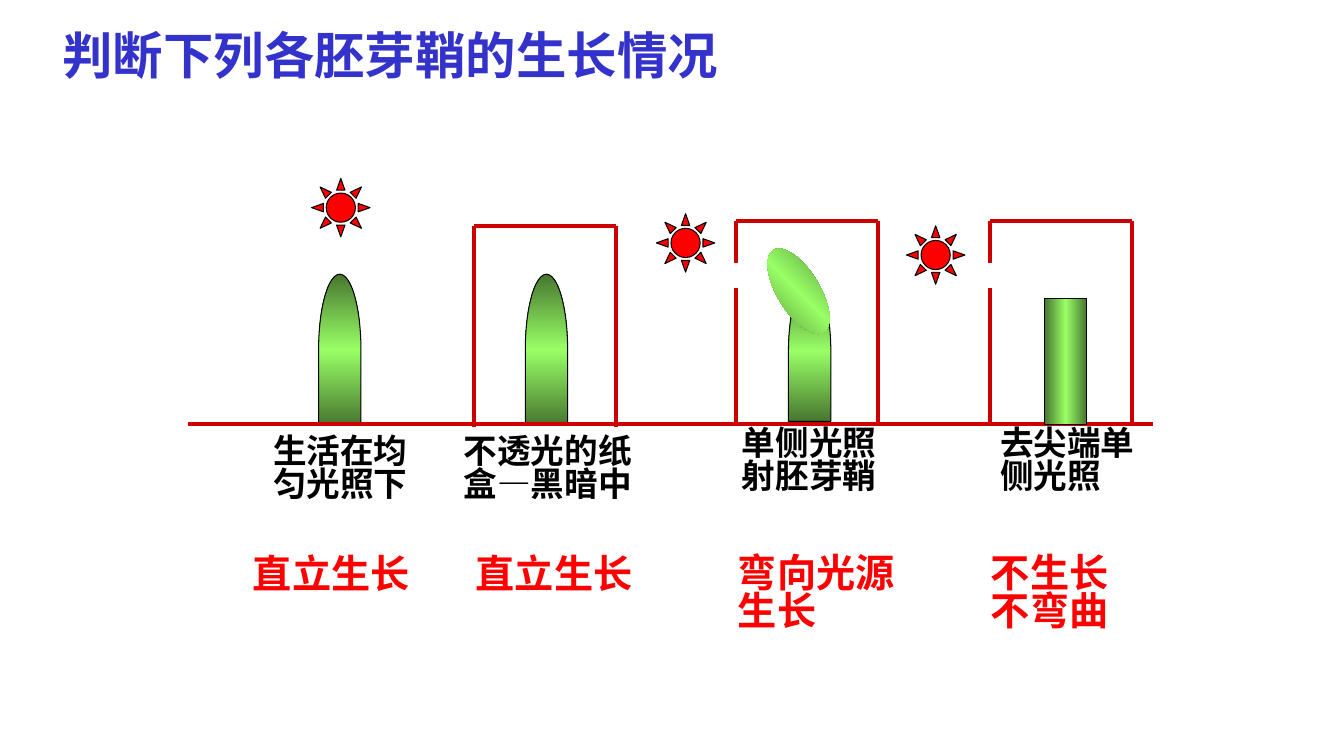
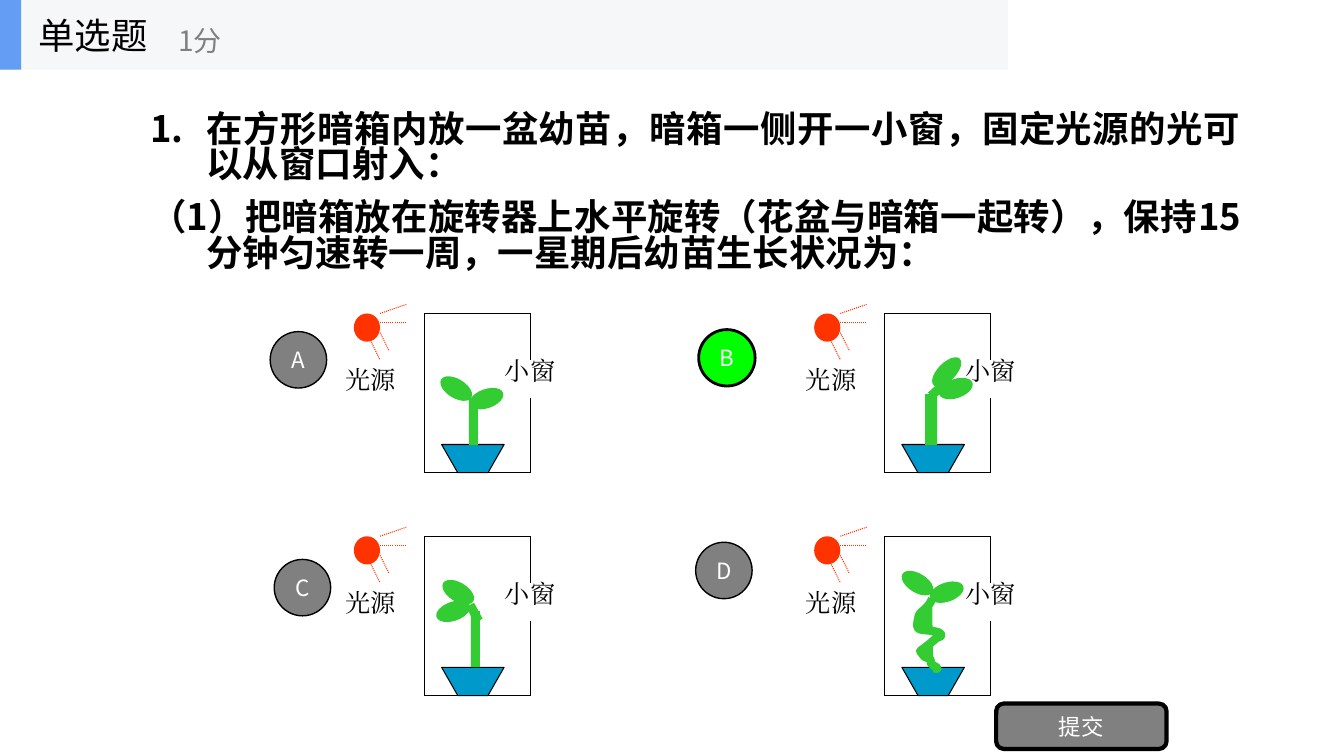
from pptx import Presentation, util as u
from pptx.dml.color import RGBColor
from pptx.enum import dml, shapes, text
from pptx.oxml import parse_xml
from pptx.oxml.ns import nsdecls, qn
from lxml import etree

GRID = u.Inches(0.1)
SANS, SERIF = "Noto Sans CJK SC", "Times New Roman"
BLACK, WHITE, GRAY = "000000", "FFFFFF", "808080"
TITLE_BLUE, RED, FRAME_RED, LAMP = "3333CC", "FF0000", "CC0000", "FF3300"
BAND, ACCENT, POT, LEAF, CORRECT = "F6F7F8", "639EF4", "0099CC", "33CC33", "00FF00"
GREENS = ((0, "47762F"), (50, "99FF66"), (100, "47762F"))
SHAPE = shapes.MSO_SHAPE
ALIGN = text.PP_ALIGN
MIDDLE, TOP = text.MSO_ANCHOR.MIDDLE, text.MSO_ANCHOR.TOP


def color(value):
    return RGBColor.from_string(value)


def cells(*lengths):
    return [round(length * GRID) for length in lengths]


def curve(start, segments, steps=8):
    points = [start]
    for first, second, end in segments:
        origin = points[-1]
        for step in range(1, steps + 1):
            t = step / steps
            weights = ((1 - t) ** 3, 3 * t * (1 - t) ** 2, 3 * t * t * (1 - t), t ** 3)
            corners = (origin, first, second, end)
            points.append(tuple(sum(w * c[axis] for w, c in zip(weights, corners))
                                for axis in (0, 1)))
    return points


def write(frame, content, size=24, ink=BLACK, font=SANS, bold=False, align=ALIGN.LEFT,
          anchor=TOP, spacing=None, gap=0, hanging=0, numbered=0):
    frame.word_wrap = True
    frame.auto_size = text.MSO_AUTO_SIZE.NONE
    frame.vertical_anchor = anchor
    for index, line in enumerate(content.split("\n")):
        paragraph = frame.add_paragraph() if index else frame.paragraphs[0]
        paragraph.alignment = align
        paragraph.line_spacing = spacing
        if index:
            paragraph.space_before = u.Pt(gap)
        if hanging:
            properties = paragraph._p.get_or_add_pPr()
            indent = round(hanging * GRID)
            properties.set("marL", str(indent))
            properties.set("indent", str(-indent))
            if index < numbered:
                etree.SubElement(properties, qn("a:buAutoNum"), type="arabicPeriod")
            else:
                etree.SubElement(properties, qn("a:buNone"))
        run = paragraph.add_run()
        run.text = line
        run.font.size, run.font.bold, run.font.name = u.Pt(size), bold, font
        run.font.color.rgb = color(ink)
        etree.SubElement(run.font._element, qn("a:ea"), typeface=font)


class Deck:
    def __init__(self):
        self.presentation = Presentation()
        self.presentation.slide_width = u.Inches(13.33)
        self.presentation.slide_height = u.Inches(7.5)
        self.slide = None

    def start(self):
        self.slide = self.presentation.slides.add_slide(self.presentation.slide_layouts[5])

    def title(self, content, box, **style):
        shape = self.slide.shapes.title
        shape.left, shape.top, shape.width, shape.height = cells(*box)
        shape.element.getparent().append(shape.element)
        frame = shape.text_frame
        frame.margin_left = frame.margin_right = u.Inches(0.1)
        write(frame, content, anchor=MIDDLE, **style)

    def label(self, content, box, **style):
        write(self.slide.shapes.add_textbox(*cells(*box)).text_frame, content, **style)

    def finish(self, shape, fill, line, weight):
        shape.shadow.inherit = False
        if fill:
            shape.fill.solid()
            shape.fill.fore_color.rgb = color(fill)
        if line:
            shape.line.color.rgb = color(line)
            shape.line.width = u.Pt(weight)
        else:
            shape.line.fill.background()
        return shape

    def shape(self, kind, box, fill=None, line=None, weight=0.75, turn=0):
        shape = self.slide.shapes.add_shape(kind, *cells(*box))
        shape.rotation = turn
        return self.finish(shape, fill, line, weight)

    def gradient(self, kind, box, angle, line=None, turn=0):
        shape = self.shape(kind, box, line=line, turn=turn)
        stops = "".join(f'<a:gs pos="{place * 1000}"><a:srgbClr val="{value}"/></a:gs>'
                        for place, value in GREENS)
        fill = parse_xml(f'<a:gradFill {nsdecls("a")} rotWithShape="0"><a:gsLst>{stops}</a:gsLst>'
                         f'<a:lin ang="{angle * 60000}" scaled="1"/></a:gradFill>')
        shape.element.spPr.find(qn("a:prstGeom")).addnext(fill)

    def button(self, kind, content, box, fill, weight):
        shape = self.shape(kind, box, fill, BLACK, weight)
        frame = shape.text_frame
        frame.margin_left = frame.margin_right = frame.margin_top = frame.margin_bottom = 0
        write(frame, content, size=16, ink=WHITE, align=ALIGN.CENTER, anchor=MIDDLE)

    def outline(self, points, fill, line, weight=0.75, close=True):
        corners = [cells(*point) for point in points]
        builder = self.slide.shapes.build_freeform(*corners[0], scale=1.0)
        builder.add_line_segments(corners[1:], close=close)
        self.finish(builder.convert_to_shape(), fill, line, weight)

    def line(self, start, end, ink, weight, dotted=False):
        connector = self.slide.shapes.add_connector(shapes.MSO_CONNECTOR.STRAIGHT,
                                                    *cells(*start, *end))
        connector.line.color.rgb = color(ink)
        connector.line.width = u.Pt(weight)
        if dotted:
            connector.line.dash_style = dml.MSO_LINE.ROUND_DOT
        etree.SubElement(connector.element.spPr, qn("a:effectLst"))

    def side(self, x, top, bottom, window, ink, weight):
        edges = (top, *(top + offset for offset in window), bottom)
        for upper, lower in zip(edges[::2], edges[1::2]):
            self.line((x, upper), (x, lower), ink, weight)

    def frame(self, left, top, width, height, ink, weight, left_window=(), right_window=(),
              floor=False):
        right, bottom = left + width, top + height
        self.line((left, top), (right, top), ink, weight)
        self.side(left, top, bottom, left_window, ink, weight)
        self.side(right, top, bottom, right_window, ink, weight)
        if floor:
            self.line((left, bottom), (right, bottom), ink, weight)

    def sun(self, x, y):
        self.shape(SHAPE.SUN, (x, y, 5.8, 5.8), RED, BLACK)

    def coleoptile(self, center, top, height):
        middle = top + height / 2
        self.gradient(SHAPE.FLOWCHART_DELAY, (center - height / 2, middle - 2.1, height, 4.2),
                      90, BLACK, 270)

    def planter(self, left, top):
        def at(x, y):
            return left + x, top + y

        for content, place in (("小窗", (7, 3.7)), ("光源", (-8.8, 4.6))):
            self.label(content, (*at(*place), 7.9, 4), size=18, font=SERIF)
        self.frame(left, top, 10.5, 15.8, BLACK, 0.75, right_window=(4.6, 8.4), floor=True)
        self.shape(SHAPE.OVAL, (*at(-7, 0), 2.6, 2.8), LAMP)
        for start, end in (((-4.4, 0), (-1.8, -0.9)), ((-4.4, 0.9), (-1.8, 0.9)),
                           ((-4.4, 1.9), (-3.5, 3.7)), ((-5.3, 2.8), (-4.4, 4.6))):
            self.line(at(*start), at(*end), LAMP, 0.75, dotted=True)
        pot = ((1.7, 13), (3.3, 15.8), (6.3, 15.8), (7.9, 13))
        self.outline([at(*point) for point in pot], POT, BLACK)


def coleoptile_slide(deck):
    deck.start()
    deck.title("判断下列各胚芽鞘的生长情况", (5.2, 3, 77.2, 5.9), size=36, ink=TITLE_BLUE,
               bold=True, spacing=0.8)
    captions = (
        ("生活在均匀光照下", (26.1, 42.9, 16.1, 9.1), "直立生长", (24.1, 54.8, 18.1, 5.7)),
        ("不透光的纸盒—黑暗中", (45, 42.9, 20.8, 9.1), "直立生长", (46.2, 54.8, 18.9, 5.7)),
        ("单侧光照射胚芽鞘", (72.6, 42.1, 17.7, 9.1), "弯向光源生长", (72.2, 54.7, 18.9, 10.3)),
        ("去尖端单侧光照", (98.2, 42.1, 17.3, 9.1), "不生长不弯曲", (97.3, 54.7, 16.5, 10.3)),
    )
    for condition, condition_box, result, result_box in captions:
        deck.label(condition, condition_box, bold=True, spacing=0.82)
        deck.label(result, result_box, size=28, ink=RED, bold=True, spacing=0.82)
    for center in (33.7, 54.2):
        deck.coleoptile(center, 27.2, 15)
    deck.frame(47, 22.4, 14.1, 20, FRAME_RED, 3)
    deck.line((18.6, 42.1), (114.4, 42.1), FRAME_RED, 3)
    for left in (73, 98.2):
        deck.frame(left, 21.9, 14.1, 20, FRAME_RED, 3, left_window=(4.2, 6.7))
    for place in ((30.9, 17.7), (65.1, 21.2), (89.9, 22.4)):
        deck.sun(*place)
    deck.coleoptile(80.3, 27.8, 14)
    deck.gradient(SHAPE.OVAL, (77.1, 24.1, 4.2, 9.6), 315, turn=328.6)
    deck.gradient(SHAPE.RECTANGLE, (103.6, 29.6, 4.2, 12.5), 0, BLACK)


def question_slide(deck):
    deck.start()
    deck.shape(SHAPE.RECTANGLE, (0, 0, 100, 6.9), BAND)
    deck.shape(SHAPE.RECTANGLE, (0, 0, 2.1, 6.9), ACCENT)
    deck.title("单选题", (2.8, 0, 20.8, 6.9), size=26)
    deck.label("1分", (16.7, 1.2, 25, 5.6), size=20, ink=GRAY, anchor=MIDDLE)
    deck.label("在方形暗箱内放一盆幼苗，暗箱一侧开一小窗，固定光源的光可以从窗口射入：\n"
               "（1）把暗箱放在旋转器上水平旋转（花盆与暗箱一起转），保持15分钟匀速转一周，"
               "一星期后幼苗生长状况为：",
               (13.9, 7.5, 110.2, 23.4), size=26, bold=True, align=ALIGN.JUSTIFY,
               anchor=MIDDLE, spacing=0.82, gap=12, hanging=5.6, numbered=1)
    options = (("A", 26.8, 32.9, GRAY, 1), ("B", 69.3, 32.7, CORRECT, 2),
               ("C", 27.2, 55.5, GRAY, 1), ("D", 69, 53.8, GRAY, 1))
    for letter, x, y, fill, weight in options:
        deck.button(SHAPE.OVAL, letter, (x, y, 5.6, 5.6), fill, weight)
    deck.button(SHAPE.ROUNDED_RECTANGLE, "提交", (98.8, 69.8, 16.9, 4.5), GRAY, 3)

    plants = (
        (((4.4, 7.5, 3.5, 1.9, 340.8), (1.4, 6.5, 3.5, 1.9, 31.3)),
         ((4.4, 8.4, 0.9, 4.7, 0),)),
        (((5.3, 6.5, 3.5, 1.9, 340.8), (4.3, 4.9, 3.7, 1.8, 314.5)),
         ((4, 8, 1.2, 5.1, 0), (5.1, 6, 0.9, 2.6, 47.7))),
        (((1.1, 6.5, 3.5, 1.9, 340.8), (1.6, 4.6, 3.5, 1.9, 31.3)),
         ((4.6, 7.4, 0.9, 5.6, 0), (4.5, 6.7, 0.9, 1.8, 331.6))),
        (((4.4, 4.6, 3.5, 1.9, 340.8), (1.5, 3.7, 3.5, 1.9, 31.3)), ()),
    )
    for index, (leaves, stems) in enumerate(plants):
        row, column = divmod(index, 2)
        left, top = 42.1 + 45.65 * column, 31.1 + 22.1 * row
        deck.planter(left, top)
        for kind, parts in ((SHAPE.OVAL, leaves), (SHAPE.RECTANGLE, stems)):
            for x, y, width, height, turn in parts:
                deck.shape(kind, (left + x, top + y, width, height), LEAF, turn=turn)

    twisted_stem = curve((4.7, 6.2), (
        ((4.4, 7), (3.9, 7.2), (3.4, 7.8)),
        ((3, 9.5), (3.2, 9.2), (4.8, 9.4)),
        ((5.1, 9.5), (5.5, 9.5), (5.6, 9.8)),
        ((5.6, 10), (5.2, 10), (5, 10.2)),
        ((4.6, 10.6), (3.5, 11.4), (3.5, 11.4)),
        ((3.7, 11.6), (3.8, 11.8), (3.9, 11.9)),
        ((4.1, 12.1), (4.3, 12), (4.5, 12.2)),
        ((4.6, 12.3), (4.5, 12.6), (4.7, 12.7)),
        ((4.8, 12.9), (5.1, 12.9), (5.2, 13.1)),
        ((5.3, 13.2), (5, 13.1), (4.8, 13.1)),
    ))
    deck.outline([(left + x, top + y) for x, y in twisted_stem], LEAF, LEAF, 6, close=False)


def main():
    deck = Deck()
    coleoptile_slide(deck)
    question_slide(deck)
    deck.presentation.save("out.pptx")


if __name__ == "__main__":
    main()
